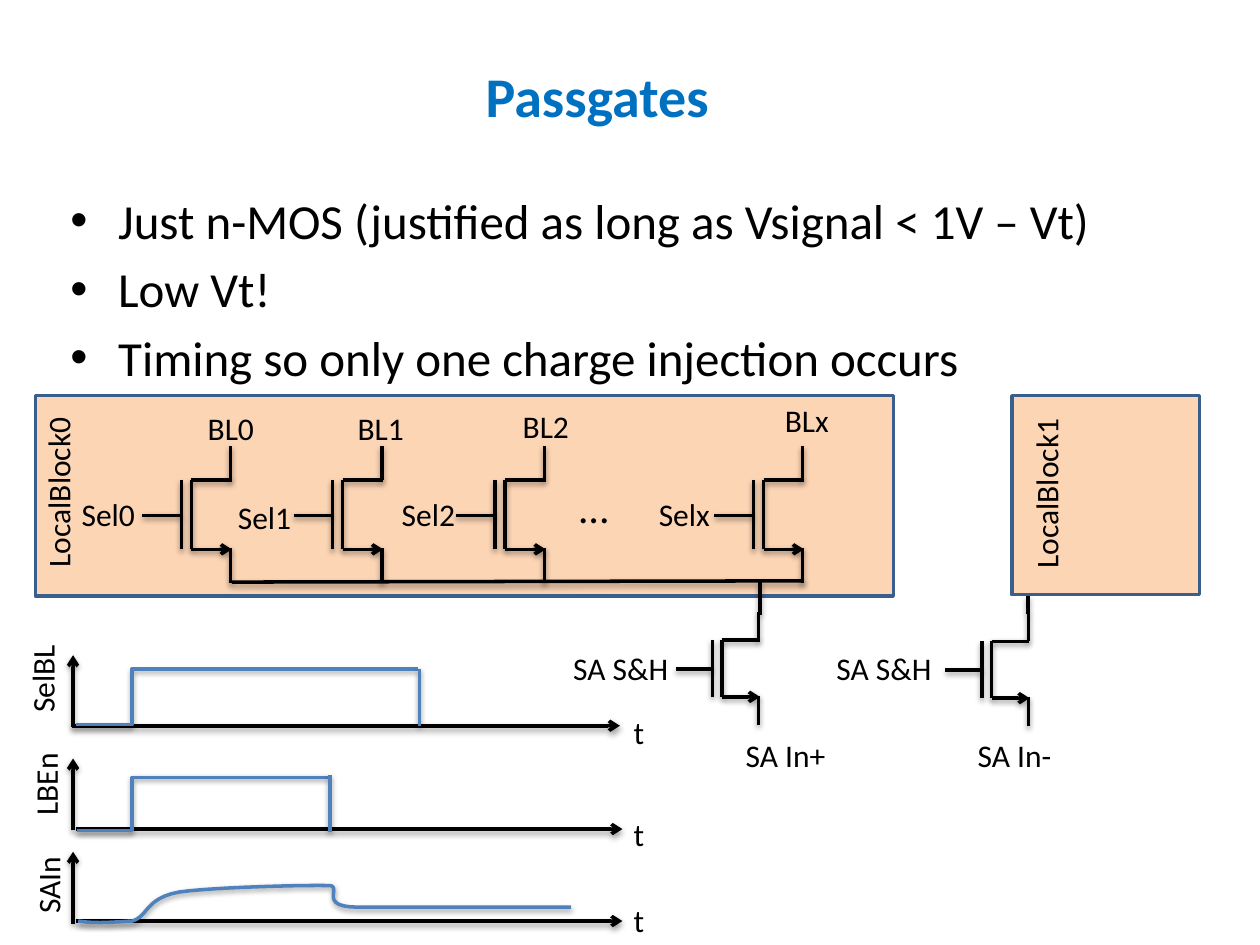
from lxml import etree
from pptx import Presentation
from pptx import util as u
from pptx.dml import color
from pptx.enum import shapes, text
from pptx.oxml import ns

COLORS = {"ink": "000000", "title": "0070C0", "block": "FCD5B5",
          "edge": "3A5F8C", "signal": "4F81BD"}
RGB = {name: color.RGBColor.from_string(value) for name, value in COLORS.items()}

deck = Presentation()
deck.slide_width, deck.slide_height = u.Inches(10), u.Inches(7.5)
page = deck.slides.add_slide(deck.slide_layouts[6])


def add_line(parent, x1, y1, x2, y2, ink="ink", arrow=False, bend=None):
    """Add a line with the theme's soft shadow; bend is an elbow's turning share."""
    kind = shapes.MSO_CONNECTOR.STRAIGHT if bend is None else shapes.MSO_CONNECTOR.ELBOW
    line = parent.add_connector(kind, *[u.Inches(v) for v in (x1, y1, x2, y2)])
    line.line.color.rgb = RGB[ink]
    line.line.width = u.Pt(2)
    if arrow:
        etree.SubElement(line.line._get_or_add_ln(), ns.qn("a:tailEnd"), type="arrow")
    if bend is not None:
        guides = line.element.find(".//" + ns.qn("a:avLst"))
        if guides is None:
            geometry = line.element.find(".//" + ns.qn("a:prstGeom"))
            guides = etree.SubElement(geometry, ns.qn("a:avLst"))
        etree.SubElement(guides, ns.qn("a:gd"), name="adj1",
                         fmla=f"val {round(bend * 100000)}")
    return line


def add_text(lines, left, top, width, height, wrap=False, turn=0, align=None,
             ink="ink", **font):
    """Add a text box with one paragraph for each entry of lines."""
    box = page.shapes.add_textbox(*[u.Inches(v) for v in (left, top, width, height)])
    box.rotation = turn
    box.text_frame.word_wrap = wrap
    box.text_frame.text = "\n".join(lines)
    for para in box.text_frame.paragraphs:
        para.alignment = align
        span = para.runs[0]
        span.font.color.rgb = RGB[ink]
        for name, value in {"name": "Calibri", "size": u.Pt(18), **font}.items():
            setattr(span.font, name, value)
    return box


# Local blocks
for left, width, height in [(0.28, 6.81, 1.59), (8.03, 1.49, 1.58)]:
    block = page.shapes.add_shape(
        shapes.MSO_SHAPE.RECTANGLE,
        *[u.Inches(v) for v in (left, 3.14, width, height)])
    block.shadow.inherit = False
    block.fill.solid()
    block.fill.fore_color.rgb = RGB["block"]
    block.line.color.rgb = RGB["edge"]
    block.line.width = u.Pt(2)

# Title and bullets
add_text(["Passgates"], 1.77, 0.44, 5.94, 0.64, wrap=True,
         align=text.PP_ALIGN.CENTER, ink="title", size=u.Pt(32), bold=True)
bullets = add_text(["Just n-MOS (justified as long as Vsignal < 1V – Vt)",
                    "Low Vt!",
                    "Timing so only one charge injection occurs"],
                   0.46, 1.46, 9.18, 1.7, wrap=True, size=u.Pt(28))
for para in bullets.text_frame.paragraphs:
    para.space_before = u.Pt(5.6)
    props = para._p.get_or_add_pPr()
    props.set("marL", str(u.Inches(0.38)))
    props.set("indent", str(u.Inches(-0.38)))
    etree.SubElement(props, ns.qn("a:buFont"), typeface="Arial")
    etree.SubElement(props, ns.qn("a:buChar"), char="•")

# Transistors: segments relative to the top of the channel
SEGMENTS = [(0, 0, 0, 0.55, False),             # channel
            (0, 0.55, 0.32, 0.55, True),        # source arm
            (0, 0, 0.32, 0, False),             # drain arm
            (-0.08, 0, -0.08, 0.55, False),     # gate plate
            (-0.39, 0.28, -0.08, 0.28, False),  # gate lead
            (0.31, 0.54, 0.31, 0.82, False),    # source lead
            (0.31, -0.27, 0.31, 0, False)]      # drain lead
TRANSISTORS = [(1.52, 3.81, 1, 1), (2.72, 3.81, 1, 1), (4.01, 3.81, 1, 1),
               (6.06, 3.81, 1, 1), (5.73, 5.08, 0.94, 0.82),
               (7.87, 5.09, 0.94, 0.82)]
for x, y, scale_x, scale_y in TRANSISTORS:
    transistor = page.shapes.add_group_shape()
    for x1, y1, x2, y2, arrow in SEGMENTS:
        add_line(transistor.shapes, x + x1 * scale_x, y + y1 * scale_y,
                 x + x2 * scale_x, y + y2 * scale_y, arrow=arrow)

# Shared bit line and links to the sample-and-hold transistors
for ends in [(1.84, 4.62, 6.38, 4.61), (6.03, 4.88, 6.03, 4.62),
             (8.16, 4.87, 8.16, 4.73)]:
    add_line(page.shapes, *ends)

# Circuit labels
add_text(["…"], 4.5, 3.77, 0.44, 0.5, size=u.Pt(24))
LABELS = [("BL0", 1.55, 3.2, 0.57), ("BL1", 2.74, 3.2, 0.57),
          ("BL2", 4.05, 3.18, 0.57), ("BLx", 6.13, 3.13, 0.55),
          ("Sel0", 0.55, 3.88, 0.63), ("Sel1", 1.79, 3.9, 0.63),
          ("Sel2", 3.09, 3.88, 0.63), ("Selx", 5.13, 3.88, 0.61),
          ("SA S&H", 4.45, 5.1, 0.96), ("SA S&H", 6.54, 5.1, 0.96),
          ("SA In+", 5.82, 5.79, 0.84), ("SA In-", 7.66, 5.79, 0.79)]
for label, left, top, width in LABELS:
    add_text([label], left, top, width, 0.4)

# Upright labels
for label, left, top, width in [("LocalBlock0", -0.24, 3.7, 1.4),
                                ("LocalBlock1", 7.6, 3.71, 1.4),
                                ("SelBL", -0.04, 5.18, 0.75),
                                ("LBEn", 0.01, 6.02, 0.7),
                                ("SAIn", 0.05, 6.82, 0.66)]:
    add_text([label], left, top, width, 0.4, turn=270)

# Timing axes
for start, end, base, foot, label_top in [(0.57, 4.92, 5.76, 5.77, 5.61),
                                          (0.6, 4.94, 6.58, 6.59, 6.42),
                                          (0.6, 4.94, 7.31, 7.33, 7.1)]:
    add_line(page.shapes, start, base, end, base, arrow=True)
    add_line(page.shapes, 0.58, foot, 0.58, foot - 0.57, arrow=True)
    add_text(["t"], 4.93, label_top, 0.29, 0.4)

# Digital pulses: elbow for the rise, straight line for the fall
for left, low, right, high, rise, fall in [
        (0.6, 5.75, 3.32, 5.31, 1.05, (3.33, 5.31, 3.33, 5.76)),
        (0.61, 6.59, 2.61, 6.17, 1.05, (2.62, 6.15, 2.62, 6.6))]:
    add_line(page.shapes, left, low, right, high, "signal",
             bend=(rise - left) / (right - left))
    add_line(page.shapes, *fall, "signal")

# Analog SAIn signal: cubic curves sampled at equal steps
STEPS = 12
CURVES = [[(0.77, 7.33), (0.86, 7.32), (1.05, 7.31)],
          [(1.18, 7.27), (1.15, 7.13), (1.42, 7.08)],
          [(1.68, 7.04), (2.54, 7.02), (2.63, 7.03)],
          [(2.7, 7.06), (2.53, 7.2), (2.85, 7.2)]]
start = (0.62, 7.31)
points = [start]
for curve in CURVES:
    controls = [start, *curve]
    for step in range(1, STEPS + 1):
        t = step / STEPS
        weights = [(1 - t) ** 3, 3 * t * (1 - t) ** 2, 3 * t ** 2 * (1 - t), t ** 3]
        points.append(tuple(sum(w * c[axis] for w, c in zip(weights, controls))
                            for axis in (0, 1)))
    start = curve[-1]
points.append((4.53, 7.2))
outline = [(u.Inches(x), u.Inches(y)) for x, y in points]
builder = page.shapes.build_freeform(*outline[0])
builder.add_line_segments(outline[1:], close=False)
signal = builder.convert_to_shape()
signal.fill.background()
signal.line.color.rgb = RGB["signal"]
signal.line.width = u.Pt(2)
signal.element.find(".//" + ns.qn("a:effectRef")).set("idx", "1")

deck.save("out.pptx")
